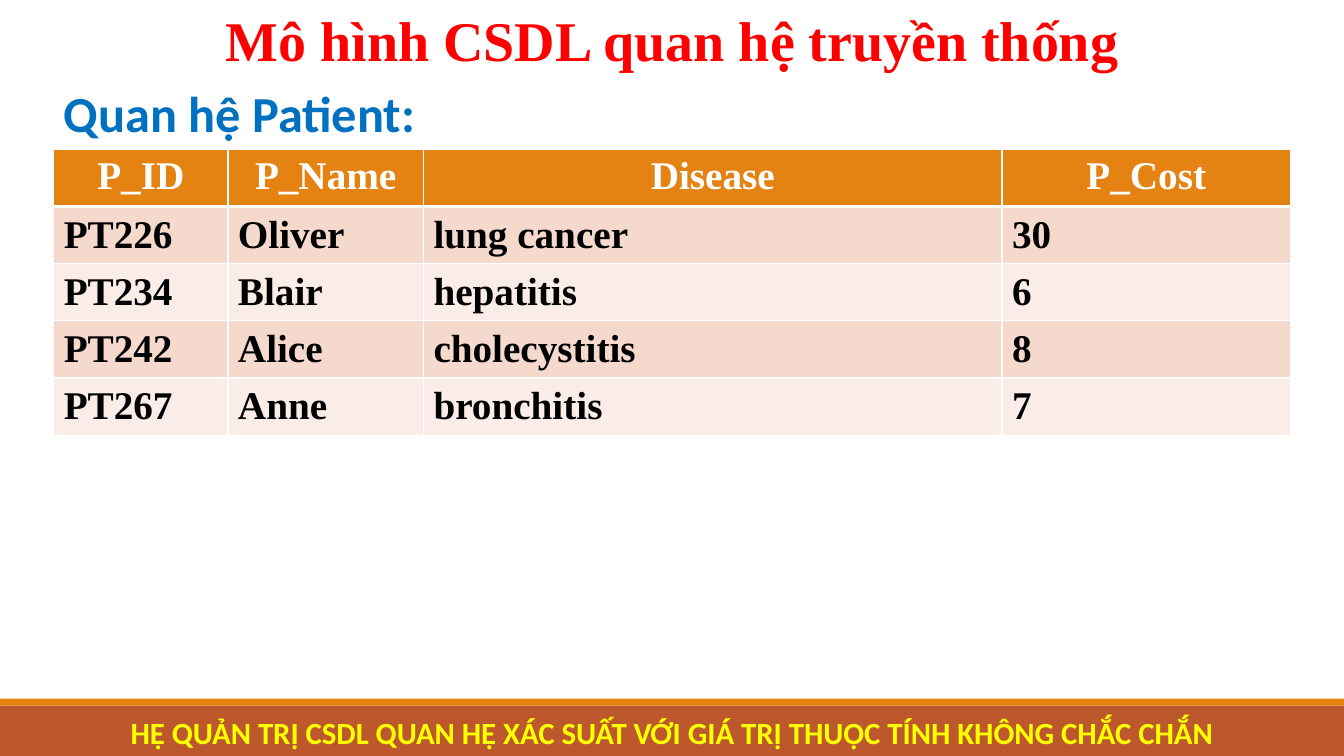
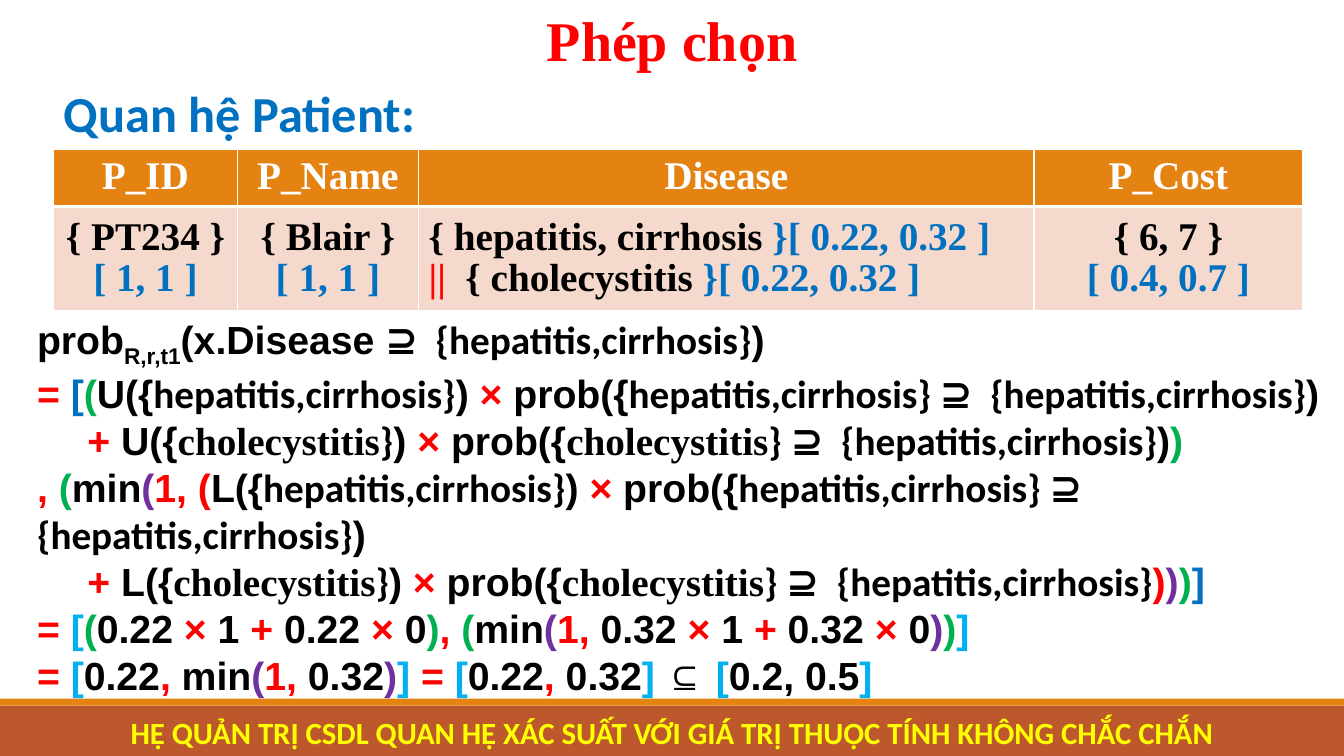
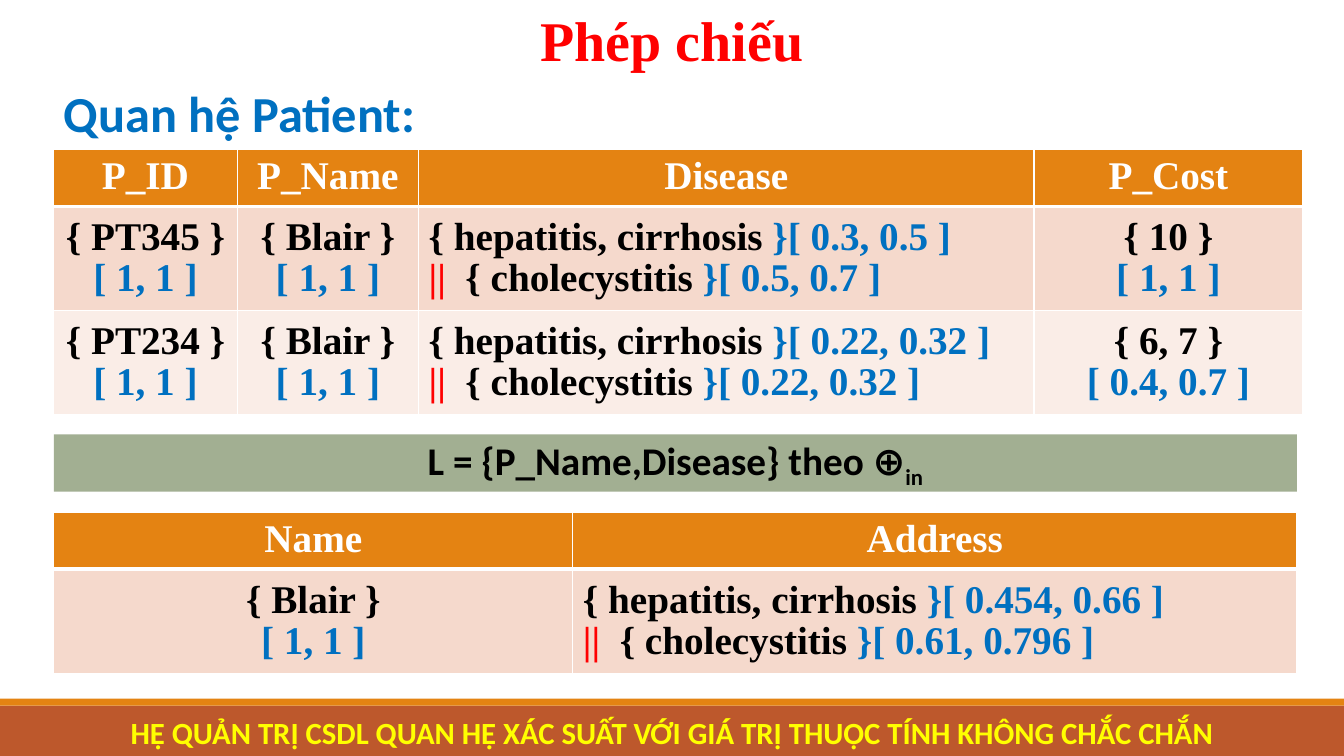
"""Build three slides on selection and projection in a probabilistic relational model."""
from lxml import etree
from pptx import Presentation
from pptx.dml.color import RGBColor
from pptx.enum import shapes, text
from pptx.oxml import ns
from pptx.util import Pt

COLOURS = {
    "red": "FF0000", "blue": "0070C0", "sky": "00B0F0", "green": "00B050",
    "purple": "7030A0", "black": "000000", "white": "FFFFFF", "yellow": "FFFF00",
    "orange": "E48312", "rust": "BD582C", "sage": "A2AF92",
    "odd": "F5D9CC", "even": "FAEDE7",
}
FONTS = {"arial": "Arial", "calibri": "Calibri", "times": "Times New Roman"}
FOOTER = "HỆ QUẢN TRỊ CSDL QUAN HỆ XÁC SUẤT VỚI GIÁ TRỊ THUỘC TÍNH KHÔNG CHẮC CHẮN"
WIDTH, HEIGHT = 960, 540
LEFT, TABLE_TOP = 38.4, 106.6
LINE_ROW, PAIR_ROW = 40.8, 74.3


class Deck:
    """Hold the shared style and the current page."""

    def __init__(self):
        self.deck = Presentation()
        self.deck.slide_width, self.deck.slide_height = Pt(WIDTH), Pt(HEIGHT)
        self.page = None

    def colour(self, name):
        return RGBColor.from_string(COLOURS[name])

    def lines(self, frame, content, size, font, colour="black", align="LEFT", spacing=None):
        """Add lines whose <name> marks switch colour, font or baseline."""
        for number, line in enumerate(content.split("\n")):
            para = frame.add_paragraph() if number else frame.paragraphs[0]
            para.alignment = getattr(text.PP_ALIGN, align)
            if spacing:
                para.line_spacing = spacing
            style = {"font": font, "colour": colour, "baseline": "base"}
            first, *marked = line.split("<")
            for part in [">" + first] + marked:
                mark, words = part.split(">", 1)
                if mark in COLOURS:
                    style["colour"] = mark
                elif mark in FONTS:
                    style["font"] = mark
                elif mark:
                    style["baseline"] = mark
                if words:
                    self.span(para, words, size, style)

    def span(self, para, words, size, style):
        span = para.add_run()
        span.text = words
        span.font.size, span.font.bold = Pt(size), True
        span.font.name = FONTS[style["font"]]
        span.font.color.rgb = self.colour(style["colour"])
        if style["baseline"] == "sub":
            span.font._element.set("baseline", "-25000")

    def band(self, left, top, width, height, fill):
        box = self.page.shapes.add_shape(
            shapes.MSO_SHAPE.RECTANGLE, Pt(left), Pt(top), Pt(width), Pt(height))
        box.shadow.inherit = False
        box.fill.solid()
        box.fill.fore_color.rgb = self.colour(fill)
        box.line.fill.background()
        return box

    def label(self, content, left, top, width, height, size, font, **style):
        box = self.page.shapes.add_textbox(Pt(left), Pt(top), Pt(width), Pt(height))
        box.text_frame.word_wrap = True
        self.lines(box.text_frame, content, size, font, **style)

    def new_page(self, title):
        self.page = self.deck.slides.add_slide(self.deck.slide_layouts[5])
        self.band(0, 504, WIDTH, 36, "rust")
        self.band(0, 499, WIDTH, 5, "orange")
        box = self.page.shapes.title
        box.left, box.top, box.width, box.height = Pt(0), Pt(0), Pt(WIDTH), Pt(55.4)
        frame = box.text_frame
        frame.auto_size = text.MSO_AUTO_SIZE.NONE
        frame.vertical_anchor = text.MSO_ANCHOR.TOP
        self.lines(frame, title, 40, "times", "red", "CENTER")
        self.label("Quan hệ Patient:", LEFT, 55.4, 921.6, 51, 36, "calibri", colour="blue")
        self.label(FOOTER, 0, 506, WIDTH, 34, 22, "calibri", colour="yellow", align="CENTER")

    def border(self, cell, bottom):
        properties = cell._tc.get_or_add_tcPr()
        for place, side in enumerate("LRTB"):
            width = bottom if side == "B" else 1
            line = etree.Element(ns.qn(f"a:ln{side}"), w=str(Pt(width)))
            fill = etree.SubElement(line, ns.qn("a:solidFill"))
            etree.SubElement(fill, ns.qn("a:srgbClr"), val=COLOURS["white"])
            properties.insert(place, line)

    def table(self, top, widths, rows, row_height, left_columns):
        heights = [LINE_ROW] + [row_height] * (len(rows) - 1)
        table = self.page.shapes.add_table(
            len(rows), len(widths), Pt(LEFT), Pt(top), Pt(sum(widths)), Pt(sum(heights))).table
        for column, width in zip(table.columns, widths):
            column.width = Pt(width)
        for r, (cells, height) in enumerate(zip(rows, heights)):
            table.rows[r].height = Pt(height)
            for c, content in enumerate(cells):
                cell = table.cell(r, c)
                cell.fill.solid()
                fill = ("odd" if r % 2 else "even") if r else "orange"
                cell.fill.fore_color.rgb = self.colour(fill)
                self.border(cell, 1 if r else 3)
                if r:
                    cell.vertical_anchor = text.MSO_ANCHOR.MIDDLE
                self.lines(cell.text_frame, content, 28, "times",
                           "black" if r else "white",
                           "LEFT" if r and c in left_columns else "CENTER",
                           0.95 if "\n" in content else None)


def valued(value, chance="1, 1"):
    return f"{{ {value} }}\n<blue>[ {chance} ]"


def diagnosis(first, second):
    return (f"{{ hepatitis, cirrhosis <blue>}}[ {first} ]\n"
            f"<red>||<black>  {{ cholecystitis <blue>}}[ {second} ]")


PATIENT_HEAD = ["P_ID", "P_Name", "Disease", "P_Cost"]
PATIENT_WIDTHS = [131, 129.6, 439.6, 192]
PT234 = [valued("PT234"), valued("Blair"), diagnosis("0.22, 0.32", "0.22, 0.32"),
         valued("6, 7", "0.4, 0.7")]
PT345 = [valued("PT345"), valued("Blair"), diagnosis("0.3, 0.5", "0.5, 0.7"), valued("10")]
PLAIN_ROWS = [
    PATIENT_HEAD,
    ["PT226", "Oliver", "lung cancer", "30"],
    ["PT234", "Blair", "hepatitis", "6"],
    ["PT242", "Alice", "cholecystitis", "8"],
    ["PT267", "Anne", "bronchitis", "7"],
]


def liver_term(bound, gap):
    return (f"{bound}({{<calibri>hepatitis,cirrhosis}}<arial>) <red>× <black>prob({{"
            f"<calibri>hepatitis,cirrhosis}} ⊇{gap}{{hepatitis,cirrhosis}}<arial>)")


def gall_term(bound):
    return (f"\t<red>+ <black>{bound}({{<times>cholecystitis<calibri>}}<arial>) <red>× "
            "<black>prob({<times>cholecystitis<calibri>} ⊇  {hepatitis,cirrhosis}<arial>")


def product_sum(value):
    return f"{value} <red>×<black> 1 <red>+<black> {value} <red>×<black> 0"


PROOF = "\n".join([
    "prob<sub>R,r,t1<base>(x.Disease <calibri>⊇  {hepatitis,cirrhosis}<arial>)",
    "<red>= <blue>[<green>(<black>" + liver_term("U", "  "),
    gall_term("U") + ")<green>)",
    "<red>, <green>(<black>min<purple>(<red>1, (<black>" + liver_term("L", " "),
    gall_term("L") + "<red>)<purple>)<green>)<blue>]",
    "<red>= <sky>[<green>(<black>" + product_sum("0.22")
    + "<green>)<red>, <green>(<black>min<purple>(<red>1,<black> " + product_sum("0.32")
    + "<purple>)<green>)<sky>]",
    "<red>= <sky>[<black>0.22<red>,<black> min<purple>(<red>1, <black>0.32<purple>)<sky>] "
    "<red>= <sky>[<black>0.22<red>, <black>0.32<sky>] <black>⊆ <sky>[<black>0.2, 0.5<sky>]",
])


def main():
    deck = Deck()

    deck.new_page("Mô hình CSDL quan hệ truyền thống")
    deck.table(TABLE_TOP, [124.4, 139.7, 413.3, 206], PLAIN_ROWS, LINE_ROW, range(4))

    deck.new_page("Phép chọn")
    deck.table(TABLE_TOP, PATIENT_WIDTHS, [PATIENT_HEAD, PT234], PAIR_ROW, [2])
    deck.label(PROOF, 19.4, 221.8, WIDTH, 278.6, 28, "arial")

    deck.new_page("Phép chiếu")
    deck.table(TABLE_TOP, PATIENT_WIDTHS, [PATIENT_HEAD, PT345, PT234], PAIR_ROW, [2])
    rule = deck.band(LEFT, 310.3, 888, 41, "sage")
    rule.text_frame.word_wrap = True
    deck.lines(rule.text_frame, "L = {P_Name,Disease} theo ⊕<sub>in", 28, "calibri",
               align="CENTER")
    projection = [["Name", "Address"],
                  [valued("Blair"), diagnosis("0.454, 0.66", "0.61, 0.796")]]
    deck.table(365.8, [370.8, 517], projection, PAIR_ROW, [1])

    deck.deck.save("out.pptx")


if __name__ == "__main__":
    main()
